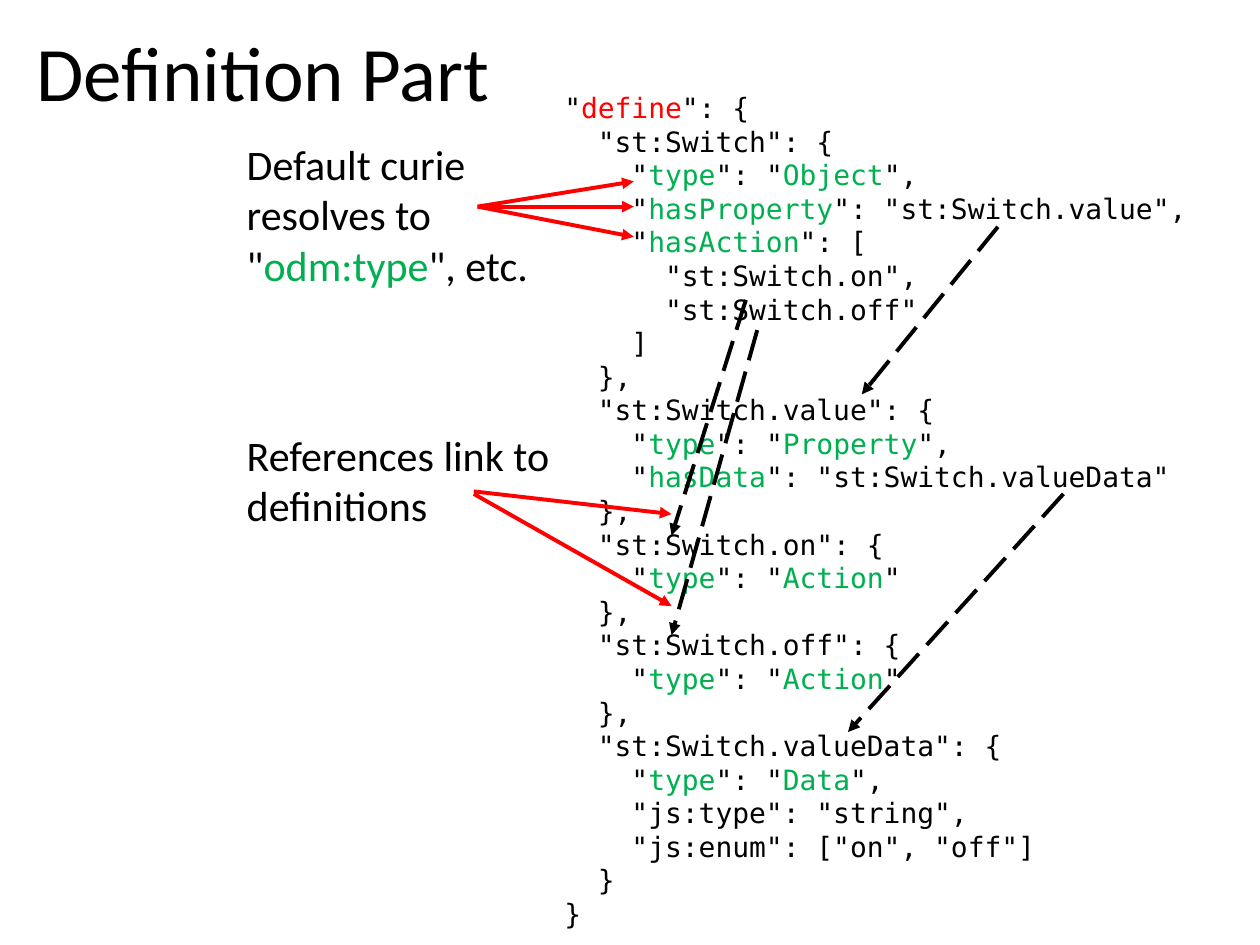
from lxml import etree
from pptx import Presentation
from pptx.dml.color import RGBColor
from pptx.enum.dml import MSO_LINE
from pptx.enum.shapes import MSO_CONNECTOR
from pptx.enum.text import MSO_ANCHOR, MSO_AUTO_SIZE, PP_ALIGN
from pptx.oxml.ns import qn
from pptx.util import Inches, Pt

STRAIGHT = MSO_CONNECTOR.STRAIGHT
LONG_DASH = MSO_LINE.LONG_DASH
MIDDLE = MSO_ANCHOR.MIDDLE
LEFT = PP_ALIGN.LEFT
FIXED = MSO_AUTO_SIZE.NONE
GROW = MSO_AUTO_SIZE.SHAPE_TO_FIT_TEXT
TITLE_ONLY = 5

COLORS = {"text": "000000", "key": "FF0000", "term": "00B050"}

CODE = '''"|define|": {
  "st:Switch": {
    "|type|": "|Object|",
    "|hasProperty|": "st:Switch.value",
    "|hasAction|": [
      "st:Switch.on",
      "st:Switch.off"
    ]
  },
  "st:Switch.value": {
    "|type|": "|Property|",
    "|hasData|": "st:Switch.valueData"
  },
  "st:Switch.on": {
    "|type|": "|Action|"
  },
  "st:Switch.off": {
    "|type|": "|Action|"
  },
  "st:Switch.valueData": {
    "|type|": "|Data|",
    "js:type": "string",
    "js:enum": ["on", "off"]
  }
}'''


def write_text(frame, text, font="Calibri", size=24, spacing=1.0):
    for number, line in enumerate(text.split("\n")):
        para = frame.paragraphs[0] if number == 0 else frame.add_paragraph()
        para.alignment = LEFT
        para.line_spacing = spacing
        for index, part in enumerate(line.split("|")):
            if not part:
                continue
            span = para.add_run()
            span.text = part
            span.font.name = font
            span.font.size = Pt(size)
            accent = "key" if part == "define" else "term"
            color = accent if index % 2 else "text"
            span.font.color.rgb = RGBColor.from_string(COLORS[color])


class SlideBuilder:
    line_width = Pt(2.25)

    def __init__(self, page):
        self.page = page

    def title(self, text, left, top, width, height):
        box = self.page.shapes.title
        box.left, box.top = Inches(left), Inches(top)
        box.width, box.height = Inches(width), Inches(height)
        box.text_frame.auto_size = FIXED
        box.text_frame.vertical_anchor = MIDDLE
        write_text(box.text_frame, text, size=44, spacing=0.9)

    def text(self, text, left, top, width, height, **style):
        box = self.page.shapes.add_textbox(
            Inches(left), Inches(top), Inches(width), Inches(height))
        box.text_frame.word_wrap = True
        box.text_frame.auto_size = GROW
        write_text(box.text_frame, text, **style)

    def arrow(self, start, end, color, dash=None):
        arrow = self.page.shapes.add_connector(
            STRAIGHT, *(Inches(value) for value in start + end))
        arrow.line.color.rgb = RGBColor.from_string(COLORS[color])
        arrow.line.width = self.line_width
        if dash:
            arrow.line.dash_style = dash
        outline = arrow.line._get_or_add_ln()
        etree.SubElement(outline, qn("a:tailEnd"), type="triangle")
        etree.SubElement(arrow._element.spPr, qn("a:effectLst"))


deck = Presentation()
deck.slide_width, deck.slide_height = Inches(10), Inches(7.5)
page = deck.slides.add_slide(deck.slide_layouts[TITLE_ONLY])
builder = SlideBuilder(page)

builder.title("Definition Part", 0.19, -0.12, 8.62, 1.45)
builder.text(CODE, 4.38, 0.67, 9.05, 6.83, font="DejaVu Sans Mono", size=16)

builder.text('Default curie resolves to "|odm:type|", etc.', 1.86, 1.05, 2.89, 1.31)
for end_y in (1.44, 1.64, 1.88):
    builder.arrow((3.79, 1.64), (5.03, end_y), "key")

references = [
    ((7.92, 1.8), (6.84, 3.13)),
    ((8.44, 3.92), (6.73, 5.81)),
    ((5.92, 2.38), (5.33, 4.25)),
    ((6.01, 2.62), (5.33, 5.04)),
]
for start, end in references:
    builder.arrow(start, end, "text", dash=LONG_DASH)

builder.text("References link to definitions", 1.86, 3.36, 2.89, 0.91)
for start_y, end_y in ((3.9, 4.08), (3.92, 4.81)):
    builder.arrow((3.76, start_y), (5.33, end_y), "key")

deck.save("out.pptx")
